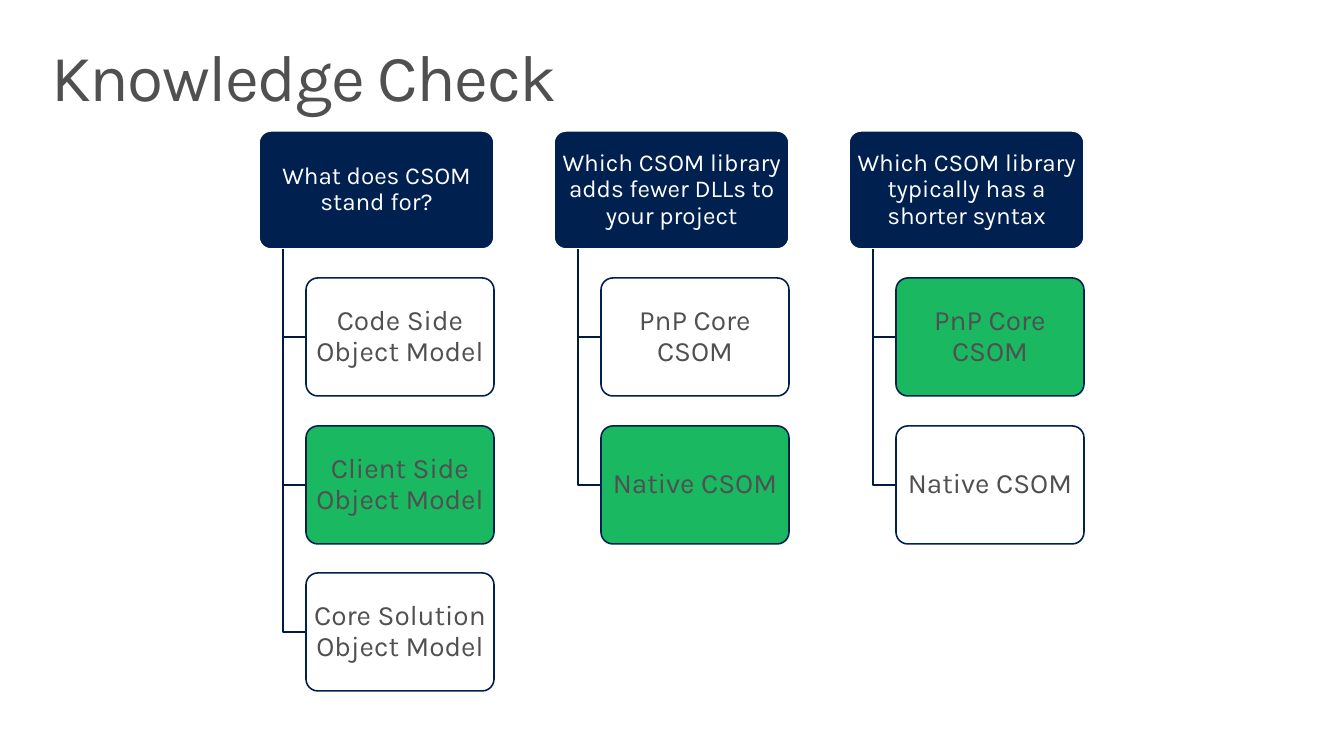
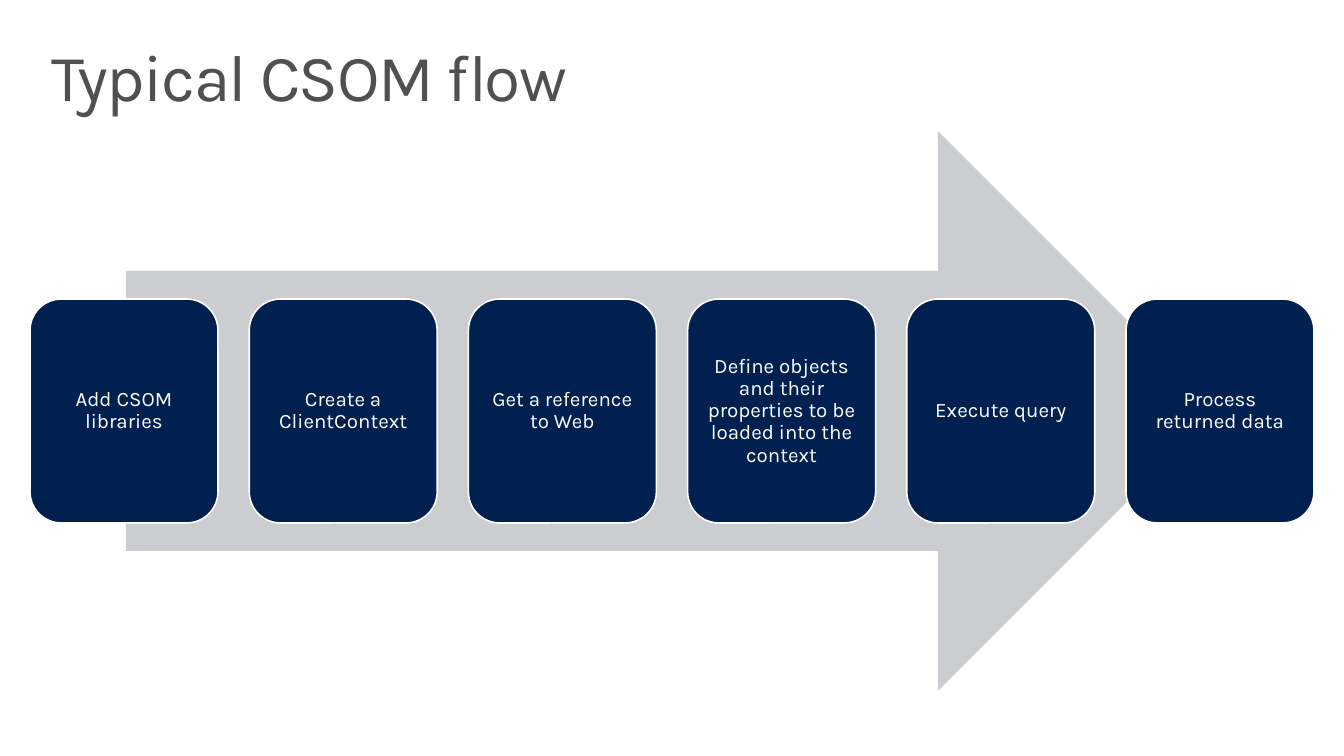
from pptx import Presentation
from pptx.dml.color import RGBColor
from pptx.enum.shapes import MSO_SHAPE
from pptx.enum.text import MSO_ANCHOR, MSO_AUTO_SIZE, PP_ALIGN
from pptx.util import Emu, Pt

ROUNDED = MSO_SHAPE.ROUNDED_RECTANGLE
RIGHT_ARROW = MSO_SHAPE.RIGHT_ARROW
TOP, MIDDLE = MSO_ANCHOR.TOP, MSO_ANCHOR.MIDDLE
LEFT, CENTER = PP_ALIGN.LEFT, PP_ALIGN.CENTER

EMU_PER_PX = 914400 / 134.4
SLIDE_WIDTH, SLIDE_HEIGHT = 1344, 756
MARGIN = 30
CONTENT_WIDTH = SLIDE_WIDTH - 2 * MARGIN
CONTENT_TOP, CONTENT_HEIGHT = 131, 560
TITLE_ONLY = 5
FONT = "Karla"
LINE_WIDTH = Pt(0.85)
COLORS = {
    "navy": "002050",
    "branch": "001A40",
    "white": "FFFFFF",
    "text": "505050",
    "correct": "19B861",
    "arrow": "CCCDD0",
}

QUESTION_WIDTH, ANSWER_WIDTH, BOX_HEIGHT = 235, 188, 118
COLUMN_PITCH = 295
TRUNK_INDENT = 24
# Each question: its wording, its answers, the index of the correct answer.
QUESTIONS = [
    ("What does CSOM stand for?",
     ["Code Side Object Model", "Client Side Object Model", "Core Solution Object Model"], 1),
    ("Which CSOM library adds fewer DLLs to your project",
     ["PnP Core CSOM", "Native CSOM"], 1),
    ("Which CSOM library typically has a shorter syntax",
     ["PnP Core CSOM", "Native CSOM"], 0),
]

STEP_WIDTH, STEP_HEIGHT = 188, 224
STEPS = [
    "Add CSOM libraries",
    "Create a ClientContext",
    "Get a reference to Web",
    "Define objects and their properties to be loaded into the context",
    "Execute query",
    "Process returned data",
]


def px(length):
    return Emu(round(length * EMU_PER_PX))


def color(name):
    return RGBColor.from_string(COLORS[name])


def set_text(shape, text, size, ink, align, anchor, insets):
    """Write one paragraph; insets are the horizontal and vertical margins in px."""
    frame = shape.text_frame
    frame.text = text
    frame.word_wrap = True
    frame.auto_size = MSO_AUTO_SIZE.NONE
    frame.vertical_anchor = anchor
    frame.margin_left = frame.margin_right = px(insets[0])
    frame.margin_top = frame.margin_bottom = px(insets[1])
    para = frame.paragraphs[0]
    para.alignment = align
    para.line_spacing = 0.9
    span = para.runs[0]
    span.font.name = FONT
    span.font.size = Pt(size)
    span.font.color.rgb = color(ink)
    return span


def add_page(deck, title):
    page = deck.slides.add_slide(deck.slide_layouts[TITLE_ONLY])
    box = page.shapes.title
    box.left, box.top = px(MARGIN), px(32)
    box.width, box.height = px(CONTENT_WIDTH), px(99)
    span = set_text(box, title, 35.3, "text", LEFT, TOP, (21, 13))
    span.font._element.set("spc", "-80")
    return page


def add_shape(page, kind, left, top, width, height, fill, line=None):
    shape = page.shapes.add_shape(kind, px(left), px(top), px(width), px(height))
    shape.shadow.inherit = False
    shape.fill.solid()
    shape.fill.fore_color.rgb = color(fill)
    if line:
        shape.line.color.rgb = color(line)
        shape.line.width = LINE_WIDTH
    else:
        shape.line.fill.background()
    return shape


def add_quiz_box(page, text, left, top, width, size, fill, line, ink):
    box = add_shape(page, ROUNDED, left, top, width, BOX_HEIGHT, fill, line)
    box.adjustments[0] = 0.1
    set_text(box, text, size, ink, CENTER, MIDDLE, (4, 3))


def add_branch(page, left, top, right, bottom):
    """Draw an open L: down from the question, then across to the answer."""
    builder = page.shapes.build_freeform(px(left), px(top))
    builder.add_line_segments(
        [(px(left), px(bottom)), (px(right), px(bottom))], close=False)
    branch = builder.convert_to_shape()
    branch.shadow.inherit = False
    branch.fill.background()
    branch.line.color.rgb = color("branch")
    branch.line.width = LINE_WIDTH


def add_question(page, left, question, answers, correct):
    add_quiz_box(page, question, left, CONTENT_TOP, QUESTION_WIDTH, 13,
                 "navy", "white", "white")
    answer_left = left + QUESTION_WIDTH - ANSWER_WIDTH
    for index, answer in enumerate(answers):
        top = CONTENT_TOP + (index + 1) * COLUMN_PITCH // 2
        add_branch(page, left + TRUNK_INDENT, CONTENT_TOP + BOX_HEIGHT,
                   answer_left, top + BOX_HEIGHT // 2)
        fill = "correct" if index == correct else "white"
        add_quiz_box(page, answer, answer_left, top, ANSWER_WIDTH, 15,
                     fill, "navy", "text")


def add_knowledge_check(deck):
    page = add_page(deck, "Knowledge Check")
    total_width = (len(QUESTIONS) - 1) * COLUMN_PITCH + QUESTION_WIDTH
    first_left = (SLIDE_WIDTH - total_width) // 2
    for column, (question, answers, correct) in enumerate(QUESTIONS):
        add_question(page, first_left + column * COLUMN_PITCH, question, answers, correct)


def add_flow(deck):
    page = add_page(deck, "Typical CSOM flow")
    add_shape(page, RIGHT_ARROW, 126, CONTENT_TOP, 1092, CONTENT_HEIGHT, "arrow")
    top = CONTENT_TOP + (CONTENT_HEIGHT - STEP_HEIGHT) // 2
    pitch = (CONTENT_WIDTH - STEP_WIDTH) / (len(STEPS) - 1)
    for index, step in enumerate(STEPS):
        box = add_shape(page, ROUNDED, MARGIN + index * pitch, top,
                        STEP_WIDTH, STEP_HEIGHT, "navy", "white")
        set_text(box, step, 11, "white", CENTER, MIDDLE, (7, 7))


def main():
    deck = Presentation()
    deck.slide_width, deck.slide_height = px(SLIDE_WIDTH), px(SLIDE_HEIGHT)
    add_knowledge_check(deck)
    add_flow(deck)
    deck.save("out.pptx")


if __name__ == "__main__":
    main()
